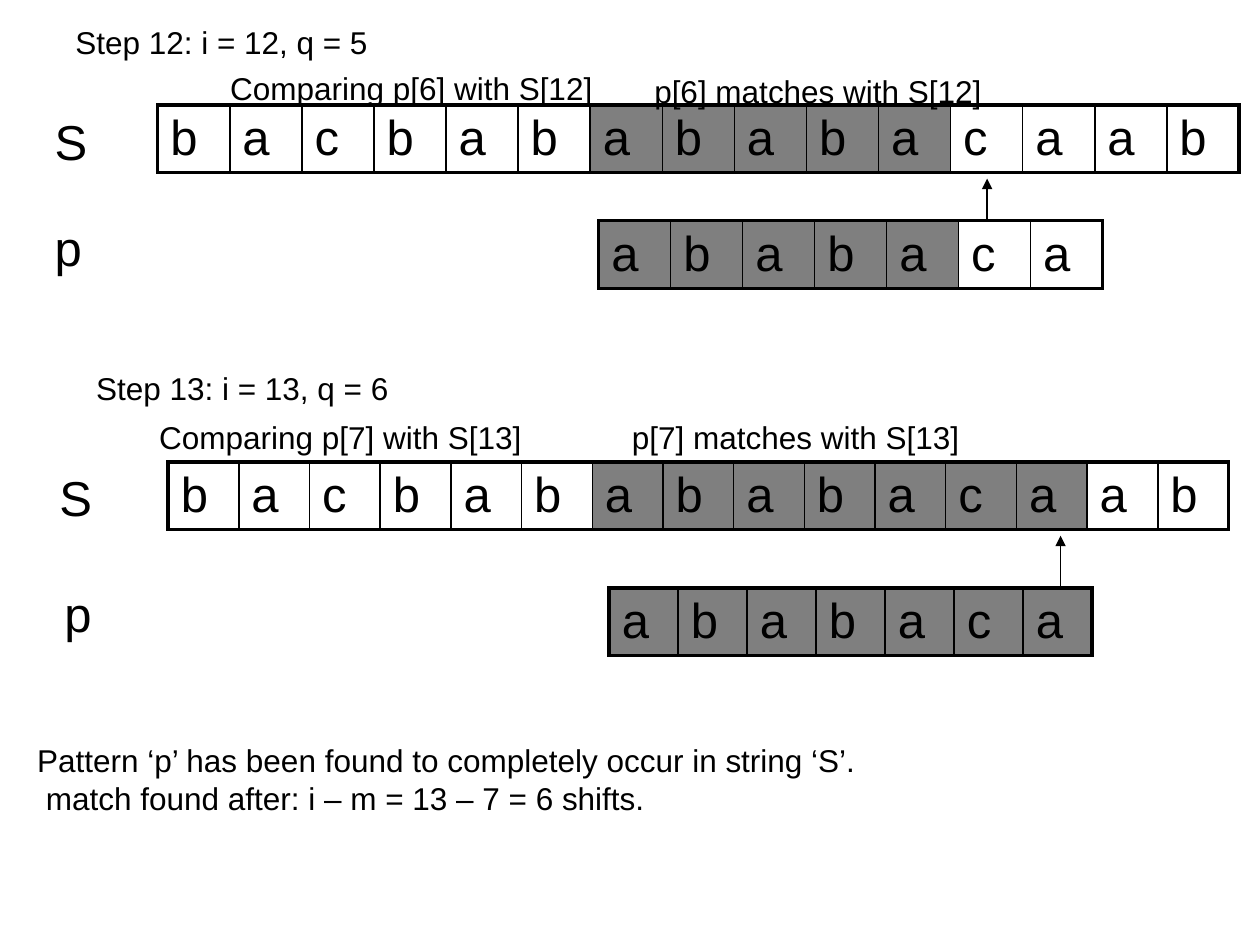
from dataclasses import dataclass

from lxml.etree import SubElement
from pptx import Presentation
from pptx.dml.color import RGBColor
from pptx.enum.shapes import MSO_CONNECTOR as Connector
from pptx.enum.text import MSO_AUTO_SIZE as AutoSize
from pptx.oxml.ns import qn
from pptx.util import Cm, Pt

FONT = "Arial"
BLACK = "000000"
ROW_HEIGHT = 1.36
THICK, THIN = 2.25, 1


# All positions and sizes are in centimetres.
@dataclass
class Label:
    left: float
    top: float
    width: float
    height: float
    lines: list[str]
    size: int = 18
    wrap: bool = False
    spacing: float | None = None


@dataclass
class Strip:
    left: float
    top: float
    width: float
    letters: str
    shaded: range


@dataclass
class Arrow:
    x: float
    bottom: float
    top: float


def step_title(left: float, top: float, text: str) -> Label:
    return Label(left, top, 11.43, 0.64, [text], wrap=True, spacing=0.9)


def comparison(left: float, top: float, text: str) -> Label:
    return Label(left, top, 7.82, 1.02, [text])


def outcome(left: float, top: float, text: str) -> Label:
    return Label(left, top, 7.11, 1.02, [text])


def row_name(left: float, top: float, width: float, text: str) -> Label:
    return Label(left, top, width, 1.44, [text], size=28)


STRIPS = [
    Strip(3.18, 2.12, 21.8, "bacbabababacaab", range(6, 11)),
    Strip(3.39, 9.31, 21.38, "bacbabababacaab", range(6, 13)),
    Strip(12.07, 4.45, 10.16, "ababaca", range(5)),
    Strip(12.28, 11.85, 9.74, "ababaca", range(7)),
]
LABELS = [
    # Step 12
    step_title(1.27, 0.42, "Step 12: i = 12, q = 5"),
    comparison(4.39, 1.27, "Comparing p[6] with S[12]"),
    outcome(12.94, 1.32, "p[6] matches with S[12]"),
    row_name(0.85, 2.12, 1.17, "S"),
    row_name(0.85, 4.27, 1.07, "p"),
    # Step 13
    step_title(1.69, 7.41, "Step 13: i = 13, q = 6"),
    comparison(2.96, 8.31, "Comparing p[7] with S[13]"),
    outcome(12.49, 8.31, "p[7] matches with S[13]"),
    row_name(0.95, 9.31, 1.17, "S"),
    row_name(1.05, 11.64, 1.07, "p"),
    # Conclusion
    Label(0.5, 14.82, 17.35, 1.8, [
        "Pattern ‘p’ has been found to completely occur in string ‘S’.",
        " match found after: i – m = 13 – 7 = 6 shifts.",
    ]),
]
ARROWS = [Arrow(19.9, 4.45, 3.6), Arrow(21.38, 11.85, 10.8)]


def color(value: str) -> RGBColor:
    return RGBColor.from_string(value)


def add_text(para, text: str, *, size: int, spacing: float | None = None) -> None:
    para.line_spacing = spacing
    span = para.add_run()
    span.text = text
    span.font.name = FONT
    span.font.size = Pt(size)
    span.font.color.rgb = color(BLACK)


def add_border(cell, side: str, width: float) -> None:
    line = SubElement(cell._tc.get_or_add_tcPr(), qn(f"a:{side}"), w=str(Pt(width)))
    fill = SubElement(line, qn("a:solidFill"))
    SubElement(fill, qn("a:srgbClr"), val=BLACK)


def add_strip(page, strip: Strip) -> None:
    count = len(strip.letters)
    table = page.shapes.add_table(
        1, count, Cm(strip.left), Cm(strip.top), Cm(strip.width), Cm(ROW_HEIGHT)
    ).table
    table.first_row = table.horz_banding = False
    for index, letter in enumerate(strip.letters):
        table.columns[index].width = Cm(strip.width / count)
        cell = table.cell(0, index)
        add_text(cell.text_frame.paragraphs[0], letter, size=28)
        # Borders come before the fill in the cell properties
        add_border(cell, "lnL", THICK if index == 0 else THIN)
        add_border(cell, "lnR", THICK if index == count - 1 else THIN)
        add_border(cell, "lnT", THICK)
        add_border(cell, "lnB", THICK)
        if index in strip.shaded:
            cell.fill.solid()
            cell.fill.fore_color.rgb = color(BLACK)
            shade = cell._tc.tcPr.find(qn("a:solidFill")).find(qn("a:srgbClr"))
            SubElement(shade, qn("a:alpha"), val="50000")
        else:
            cell.fill.background()


def add_label(page, label: Label) -> None:
    box = page.shapes.add_textbox(
        Cm(label.left), Cm(label.top), Cm(label.width), Cm(label.height)
    )
    frame = box.text_frame
    frame.word_wrap = label.wrap
    frame.auto_size = AutoSize.NONE if label.wrap else AutoSize.SHAPE_TO_FIT_TEXT
    for index, line in enumerate(label.lines):
        para = frame.add_paragraph() if index else frame.paragraphs[0]
        add_text(para, line, size=label.size, spacing=label.spacing)


def add_arrow(page, arrow: Arrow) -> None:
    line = page.shapes.add_connector(
        Connector.STRAIGHT, Cm(arrow.x), Cm(arrow.bottom), Cm(arrow.x), Cm(arrow.top)
    )
    line.line.color.rgb = color(BLACK)
    line.line.width = Pt(0.75)
    SubElement(line.line._get_or_add_ln(), qn("a:tailEnd"), type="triangle")
    SubElement(line._element.spPr, qn("a:effectLst"))


def main() -> None:
    deck = Presentation()
    deck.slide_width, deck.slide_height = Cm(25.4), Cm(19.05)
    page = deck.slides.add_slide(deck.slide_layouts[6])
    for strip in STRIPS:
        add_strip(page, strip)
    for label in LABELS:
        add_label(page, label)
    for arrow in ARROWS:
        add_arrow(page, arrow)
    deck.save("out.pptx")


if __name__ == "__main__":
    main()
